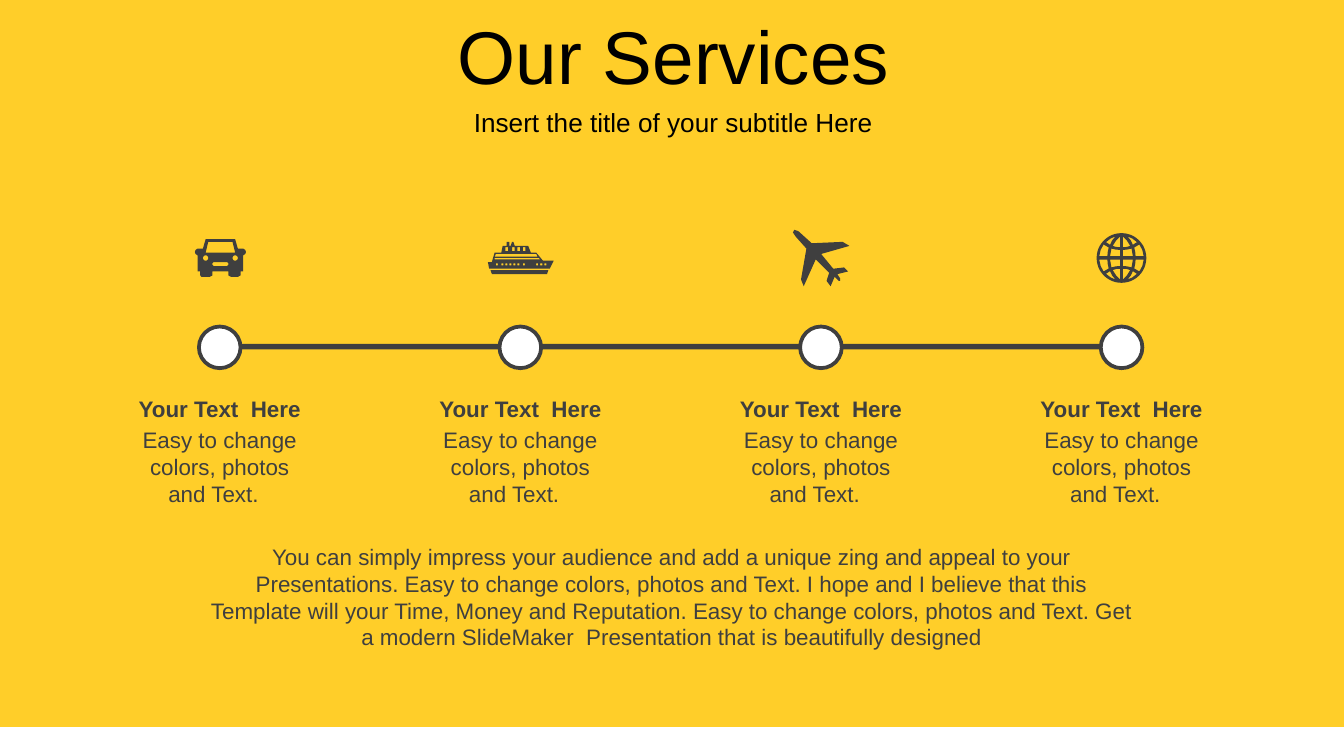
import math
import pptx
import pptx.dml.color
import pptx.enum.shapes
import pptx.enum.text
import pptx.util

Inches = pptx.util.Inches
Kind = pptx.enum.shapes.MSO_SHAPE
Anchor = pptx.enum.text.MSO_ANCHOR
hue = pptx.dml.color.RGBColor.from_string
DARK = "3F3F3F"
WHITE = "FFFFFF"


def paint(shape, fill):
    shape.shadow.inherit = False
    shape.fill.solid()
    shape.fill.fore_color.rgb = hue(fill)
    shape.line.fill.background()


def write(shapes, words, x, y, w, h, size=12, tint=DARK, bold=False, pad=0.05, anchor=Anchor.TOP):
    box = shapes.add_textbox(Inches(x), Inches(y), Inches(w), Inches(h))
    frame = box.text_frame
    frame.word_wrap = True
    frame.vertical_anchor = anchor
    frame.margin_left = frame.margin_right = Inches(0.1)
    frame.margin_top = frame.margin_bottom = Inches(pad)
    line = frame.paragraphs[0]
    line.alignment = pptx.enum.text.PP_ALIGN.CENTER
    run = line.add_run()
    run.text = words
    run.font.name = "Arial"
    run.font.size = pptx.util.Pt(size)
    run.font.bold = bold
    run.font.color.rgb = hue(tint)


deck = pptx.Presentation()
deck.slide_width = Inches(10)
deck.slide_height = Inches(10 * 9 / 16)
slide = deck.slides.add_slide(deck.slide_layouts[6])
slide.background.fill.solid()
slide.background.fill.fore_color.rgb = hue("FFCE29")
shapes = slide.shapes

for x, y, w, h, fill in [(0, 5.41, 10, 0.24, WHITE), (1.64, 2.56, 6.71, 0.04, DARK)]:
    bar = shapes.add_shape(Kind.RECTANGLE, Inches(x), Inches(y), Inches(w), Inches(h))
    paint(bar, fill)

car = [
    [(8, 0), (30, 0), (32, 7), (36, 7), (37.5, 8), (38, 9.5), (37.5, 11), (36, 12),
     (36, 24), (34, 24), (34, 27), (32, 28), (27, 28), (25, 27), (25, 24), (13, 24),
     (13, 27), (11, 28), (5, 28), (4, 27), (4, 24), (2, 24), (2, 12), (0.5, 11),
     (0, 9.5), (0.5, 8), (2, 7), (6, 7)],
    [(10, 2), (28, 2), (30, 10), (8, 10)],
    [(13, 18), (14, 17), (24, 17), (25, 18), (25, 19), (24, 20), (14, 20), (13, 19)],
]

ship = [
    [(2, 21), (45, 21), (44, 24), (3, 24)],
    [(18, 0), (19, 0), (20, 3), (30, 3), (32, 8), (36, 8), (41, 14), (49, 14),
     (46, 20), (1, 20), (0, 15), (3, 15), (5, 8), (10, 8), (11, 3), (14, 3),
     (14, 0), (16, 0), (16, 3), (17, 3)],
    [(5, 12), (5, 13), (39, 13), (38, 12)],
    [(6, 9), (5, 11), (37, 11), (36, 9)],
]
rows = [((6, 10, 13, 16, 19, 22, 26, 36, 39, 42), 16, 1.5, 1.5), ((13, 18, 22, 26), 4, 2, 3)]
for lefts, top, w, h in rows:
    for x in lefts:
        ship.append([(x, top), (x + w, top), (x + w, top + h), (x, top + h)])

plane = [
    [(41, 31), (33, 33), (35, 36), (35, 38), (34, 38), (31, 35), (28, 42), (25, 38),
     (27, 32), (17, 22), (8, 42), (6, 37), (10, 14), (2, 5), (0, 2), (1, 0),
     (4, 1), (14, 10), (37, 9), (42, 12), (21, 18), (30, 29), (38, 28)],
]

panes = [
    [(1, 8), (1, 16), (4, 13), (6.5, 9), (4, 8.2)],
    [(1, 1.3), (1, 6), (4, 6.2), (7.5, 7), (8.5, 1.3)],
    [(10.5, 1.3), (10.2, 4.5), (9.5, 7.8), (13.3, 10), (15.5, 6), (16.5, 1.3)],
    [(8.5, 9.8), (7, 13), (4.5, 16), (8, 14.5), (11.5, 11.8)],
]
globe = [
    [(h * x, v * y) for x, y in pane]
    for pane in panes for h in (-1, 1) for v in (-1, 1)
]

icons = [
    (834.5, 192, [(0, 0, 18.5)], globe),
    (363, 180, [], ship),
    (590, 171, [], plane),
    (145, 178, [(8, 14, 2), (30, 14, 2)], car),
]
for left, top, rounds, loops in icons:
    rings = [
        [(x + r * math.cos(math.tau * i / 48), y + r * math.sin(math.tau * i / 48)) for i in range(48)]
        for x, y, r in rounds
    ]
    pen = None
    for loop in rings + loops:
        dots = [(Inches((left + x) / 100), Inches((top + y) / 100)) for x, y in loop]
        if pen is None:
            pen = shapes.build_freeform(*dots[0], scale=1.0)
        else:
            pen.move_to(*dots[0])
        pen.add_line_segments(dots[1:], close=True)
    paint(pen.convert_to_shape(), DARK)

step = 6.71 / 3
for i in range(4):
    dot = shapes.add_shape(Kind.OVAL, Inches(1.48 + i * step), Inches(2.43), Inches(0.31), Inches(0.31))
    paint(dot, WHITE)
    dot.line.color.rgb = hue(DARK)
    dot.line.width = pptx.util.Pt(2)

for i in range(4):
    group = shapes.add_group_shape().shapes
    x = 0.91 + i * step
    write(group, "Easy to change colors, photos and Text.  ", x, 3.12, 1.45, 0.71)
    write(group, "Your Text  Here", x, 2.89, 1.45, 0.3, bold=True)

words = (
    "You can simply impress your audience and add a unique zing and appeal to your "
    "Presentations. Easy to change colors, photos and Text. I hope and I believe that this "
    "Template will your Time, Money and Reputation. Easy to change colors, photos and Text. "
    "Get a modern SlideMaker  Presentation that is beautifully designed"
)
write(shapes, words, 1.46, 3.99, 7.08, 0.91)
write(shapes, "Our Services", 0.02, 0.09, 9.98, 0.64, 40, "000000", pad=0.1, anchor=Anchor.MIDDLE)
write(shapes, "Insert the title of your subtitle Here", 0, 0.74, 10.02, 0.34, 14, "000000",
      pad=0.1, anchor=Anchor.MIDDLE)

deck.save("out.pptx")
